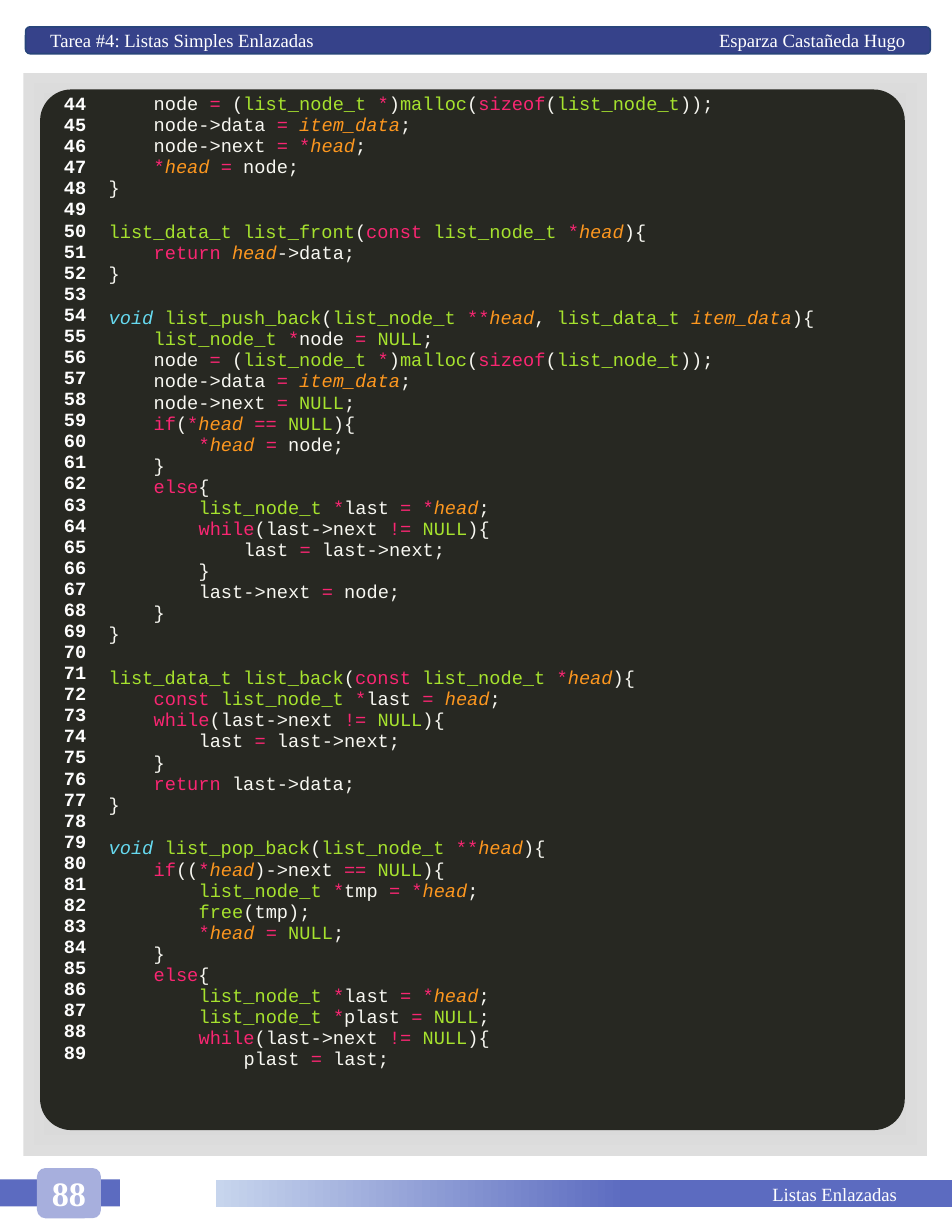
"""Build a page of C code listing with a header and footer."""
from dataclasses import dataclass
from itertools import groupby
from typing import Optional

from lxml import etree
from pptx import Presentation
from pptx.dml.color import RGBColor
from pptx.enum.shapes import MSO_SHAPE
from pptx.enum.text import MSO_ANCHOR, PP_ALIGN
from pptx.oxml import parse_xml
from pptx.oxml.ns import nsdecls, qn
from pptx.util import Cm, Pt

RECT, ROUND = MSO_SHAPE.RECTANGLE, MSO_SHAPE.ROUNDED_RECTANGLE
LEFT, RIGHT, CENTER = PP_ALIGN.LEFT, PP_ALIGN.RIGHT, PP_ALIGN.CENTER
MIDDLE, TOP = MSO_ANCHOR.MIDDLE, MSO_ANCHOR.TOP
SERIF = {"name": "Times New Roman", "size": Pt(12)}
BADGE = {**SERIF, "size": Pt(22), "bold": True}
MONO = {"name": "Courier New", "size": Pt(12), "bold": False}
WHITE, PLAIN, PINK, GREEN = "FFFFFF", "F8F8F2", "F92672", "A6E22E"
ORANGE, BLUE = "FD971F", "66D9EF"
SLANT = (ORANGE, BLUE)
START = 44
STEP = Cm(1.02)
NO_GRID = "{2D5ABB26-0587-4C30-8999-92F81FD0307C}"
GROUPS = {
    PINK: "const return if else while sizeof",
    GREEN: "list_node_t list_data_t list_front list_back list_push_back "
           "list_pop_back malloc free NULL",
    ORANGE: "head item_data",
    BLUE: "void",
}
TONES = {word: tone for tone, words in GROUPS.items() for word in words.split()}
BLOCKS = ["""\
    node = (list_node_t *)malloc(sizeof(list_node_t));
    node->data = item_data;
    node->next = *head;
    *head = node;
}""", """\
list_data_t list_front(const list_node_t *head){
    return head->data;
}""", """\
void list_push_back(list_node_t **head, list_data_t item_data){
    list_node_t *node = NULL;
    node = (list_node_t *)malloc(sizeof(list_node_t));
    node->data = item_data;
    node->next = NULL;
    if(*head == NULL){
        *head = node;
    }
    else{
        list_node_t *last = *head;
        while(last->next != NULL){
            last = last->next;
        }
        last->next = node;
    }
}""", """\
list_data_t list_back(const list_node_t *head){
    const list_node_t *last = head;
    while(last->next != NULL){
        last = last->next;
    }
    return last->data;
}""", """\
void list_pop_back(list_node_t **head){
    if((*head)->next == NULL){
        list_node_t *tmp = *head;
        free(tmp);
        *head = NULL;
    }
    else{
        list_node_t *last = *head;
        list_node_t *plast = NULL;
        while(last->next != NULL){
            plast = last;"""]


@dataclass
class Bar:
    kind: int
    box: tuple
    fill: Optional[str] = None
    stops: tuple = ()
    flow: str = ""
    line: Optional[str] = None
    curve: Optional[float] = None
    text: str = ""
    font: Optional[dict] = None
    align: int = CENTER
    inset: float = 0.25
    tab: float = 0


LIN = '<a:lin ang="10800000" scaled="0"/>'
PATH = ('<a:path path="rect"><a:fillToRect l="50000" t="50000" '
        'r="50000" b="50000"/></a:path>')
BARS = [
    Bar(ROUND, (0.58, 0.61, 20.52, 0.61), "36428A", line="28457A",
        text="Tarea #4: Listas Simples Enlazadas\tEsparza Castañeda Hugo",
        font=SERIF, align=LEFT, inset=0.53, tab=19.42),
    Bar(RECT, (0, 26.75, 2.72, 0.61), "5C6BC0"),
    Bar(ROUND, (0.84, 26.49, 1.45, 1.14), "A7AFDD", text="88", font=BADGE),
    Bar(RECT, (4.9, 26.77, 16.69, 0.61), flow=LIN,
        stops=((44, "5C6BC0"), (100, "C7D5ED")),
        text="Listas Enlazadas", font=SERIF, align=RIGHT, inset=1.24),
    Bar(RECT, (0.53, 1.65, 20.5, 24.56), flow=PATH,
        stops=((11, "7B7B7B"), (61, "BCBCBC"), (100, "DEDEDE"))),
    Bar(ROUND, (0.91, 2.03, 19.61, 23.6), "272822", curve=0.036),
]


def color(code: str) -> RGBColor:
    return RGBColor.from_string(code)


def write(para, text: str, tone: str, form: dict) -> None:
    run = para.add_run()
    run.text = text
    run.font.color.rgb = color(tone)
    for key, value in form.items():
        setattr(run.font, key, value)


def shade(shape, bar: Bar) -> None:
    shape.fill.gradient()
    grad = shape._element.spPr.find(qn("a:gradFill"))
    stops = "".join(f'<a:gs pos="{at * 1000}"><a:srgbClr val="{tone}"/></a:gs>'
                    for at, tone in bar.stops)
    fresh = parse_xml(f'<a:gradFill {nsdecls("a")} rotWithShape="1">'
                      f'<a:gsLst>{stops}</a:gsLst>{bar.flow}</a:gradFill>')
    grad.getparent().replace(grad, fresh)


def draw(slide, bar: Bar) -> None:
    shape = slide.shapes.add_shape(bar.kind, *map(Cm, bar.box))
    shape.shadow.inherit = False
    if bar.stops:
        shade(shape, bar)
    else:
        shape.fill.solid()
        shape.fill.fore_color.rgb = color(bar.fill)
    if bar.line:
        shape.line.color.rgb = color(bar.line)
        shape.line.width = Pt(1)
    else:
        shape.line.fill.background()
    if bar.curve:
        shape.adjustments[0] = bar.curve
    if bar.text:
        frame = shape.text_frame
        frame.vertical_anchor = MIDDLE
        frame.margin_left = frame.margin_right = Cm(bar.inset)
        para = frame.paragraphs[0]
        para.alignment = bar.align
        if bar.tab:
            tabs = etree.SubElement(para._p.get_or_add_pPr(), qn("a:tabLst"))
            etree.SubElement(tabs, qn("a:tab"), pos=str(Cm(bar.tab)), algn="r")
        write(para, bar.text, WHITE, bar.font)


def kind(char: str) -> str:
    if char.isalnum() or char == "_":
        return "word"
    return "sign" if char in "=*!" else "rest"


def tokens(line: str) -> list:
    parts = ((name, "".join(chars)) for name, chars in groupby(line, kind))
    return [(PINK if name == "sign" else TONES.get(text, PLAIN), text)
            for name, text in parts]


def lay(para, line: str) -> None:
    if line.startswith("\v"):
        para.add_line_break()
        etree.SubElement(para._p[-1], qn("a:rPr"), sz="1200")
        line = line[1:]
    body = line.lstrip(" ")
    depth = (len(line) - len(body)) // 4
    para._p.get_or_add_pPr().set("marL", str(depth * STEP))
    for tone, group in groupby(tokens(body), lambda item: item[0]):
        text = "".join(part for _, part in group)
        write(para, text, tone, {**MONO, "italic": tone in SLANT})


def listing(slide) -> None:
    table = slide.shapes.add_table(
        1, 2, Cm(0.91), Cm(2.03), Cm(20.17), Cm(23.62)).table
    table.first_row = table.horz_banding = False
    table._tbl.tblPr.find(qn("a:tableStyleId")).text = NO_GRID
    for col, width in zip(table.columns, (1.3, 18.87)):
        col.width = Cm(width)
    for cell in table.iter_cells():
        cell.fill.background()
        cell.vertical_anchor = TOP
    count = len("\n\n".join(BLOCKS).split("\n"))
    nums = [str(num) for num in range(START, START + count)]
    lines = "\n\v".join(BLOCKS).split("\n")
    for col, items in enumerate((nums, lines)):
        frame = table.cell(0, col).text_frame
        for spot, item in enumerate(items):
            para = frame.add_paragraph() if spot else frame.paragraphs[0]
            if col:
                lay(para, item)
            else:
                para.alignment = RIGHT
                write(para, item, WHITE, {**MONO, "bold": True})


def main() -> None:
    deck = Presentation()
    deck.slide_width, deck.slide_height = Cm(21.59), Cm(27.94)
    slide = deck.slides.add_slide(deck.slide_layouts[6])
    for bar in BARS:
        draw(slide, bar)
    listing(slide)
    deck.save("out.pptx")


if __name__ == "__main__":
    main()
